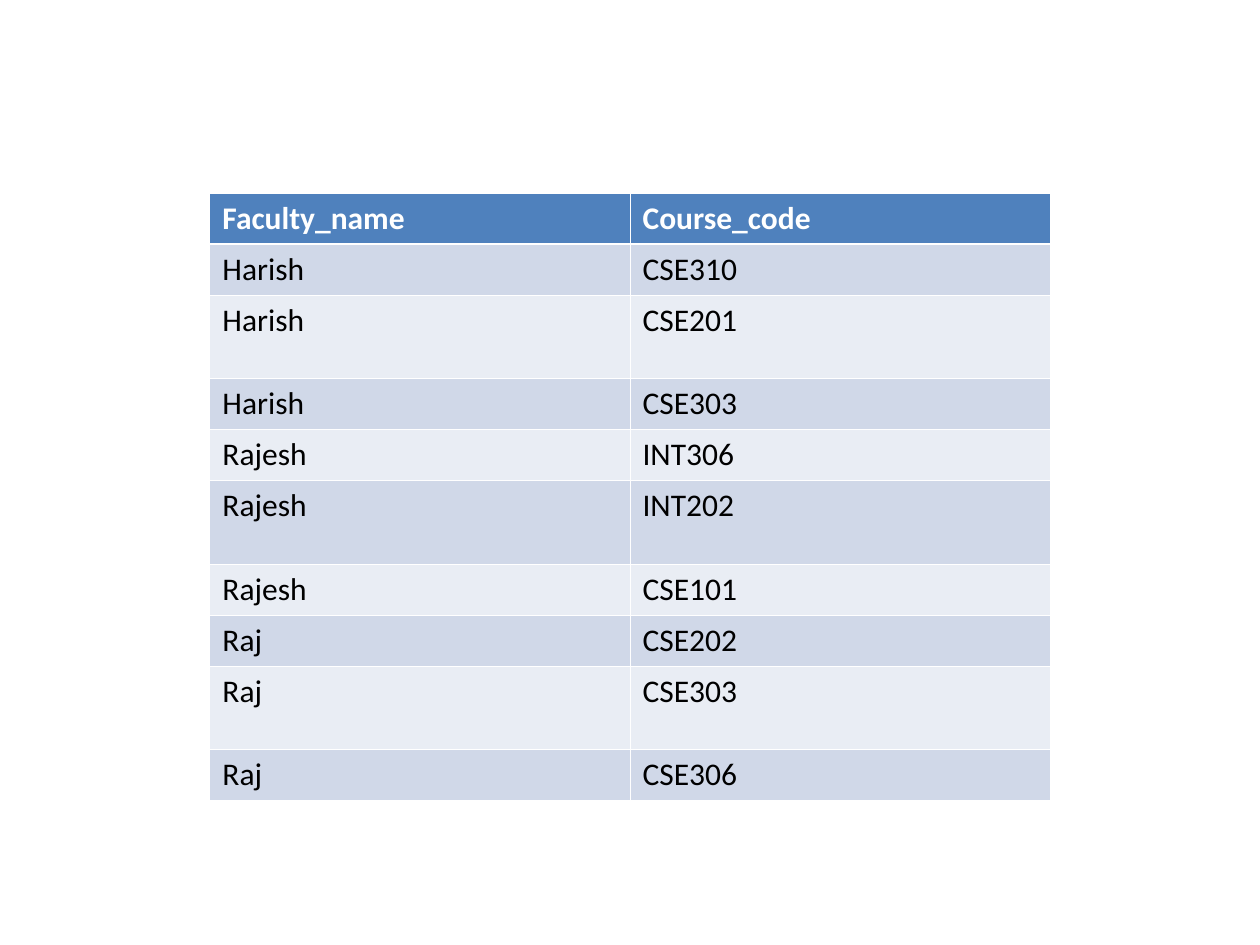
from lxml.etree import SubElement
from pptx import Presentation
from pptx.dml.color import RGBColor
from pptx.oxml.ns import qn
from pptx.util import Cm, Pt

COLORS = {
    "header": "4F81BD",
    "odd": "D0D8E8",
    "even": "E9EDF4",
    "white": "FFFFFF",
    "black": "000000",
}
ROWS = [
    ("Faculty_name", "Course_code"),
    ("Harish", "CSE310"),
    ("Harish", "CSE201"),
    ("Harish", "CSE303"),
    ("Rajesh", "INT306"),
    ("Rajesh", "INT202"),
    ("Rajesh", "CSE101"),
    ("Raj", "CSE202"),
    ("Raj", "CSE303"),
    ("Raj", "CSE306"),
]
THIN, THICK = Pt(0.45), Pt(1.47)
TALL_ROWS = (2, 5, 8)


def add_border(cell, side, width):
    ln = SubElement(cell._tc.get_or_add_tcPr(), qn(f"a:ln{side}"), w=str(int(width)))
    fill = SubElement(ln, qn("a:solidFill"))
    SubElement(fill, qn("a:srgbClr"), val=COLORS["white"])


prs = Presentation()
prs.slide_width = Cm(25.4)
prs.slide_height = Cm(19.05)
s = prs.slides.add_slide(prs.slide_layouts[6])

heights = [Cm(1.68) if i in TALL_ROWS else Cm(1.03) for i in range(len(ROWS))]
table = s.shapes.add_table(
    len(ROWS), 2, Cm(4.23), Cm(3.89), Cm(16.94), sum(heights)
).table
for col in table.columns:
    col.width = Cm(8.47)

for i, values in enumerate(ROWS):
    table.rows[i].height = heights[i]
    band = "header" if i == 0 else "odd" if i % 2 else "even"
    widths = {
        "L": THIN,
        "R": THIN,
        "T": THICK if i == 1 else THIN,
        "B": THICK if i == 0 else THIN,
    }
    for j, value in enumerate(values):
        cell = table.cell(i, j)
        for side, width in widths.items():
            add_border(cell, side, width)
        cell.fill.solid()
        cell.fill.fore_color.rgb = RGBColor.from_string(COLORS[band])
        p = cell.text_frame.paragraphs[0]
        r = p.add_run()
        r.text = value
        r.font.name = "Calibri"
        r.font.size = Pt(18)
        r.font.bold = i == 0
        r.font.color.rgb = RGBColor.from_string(COLORS["white" if i == 0 else "black"])

prs.save("out.pptx")
